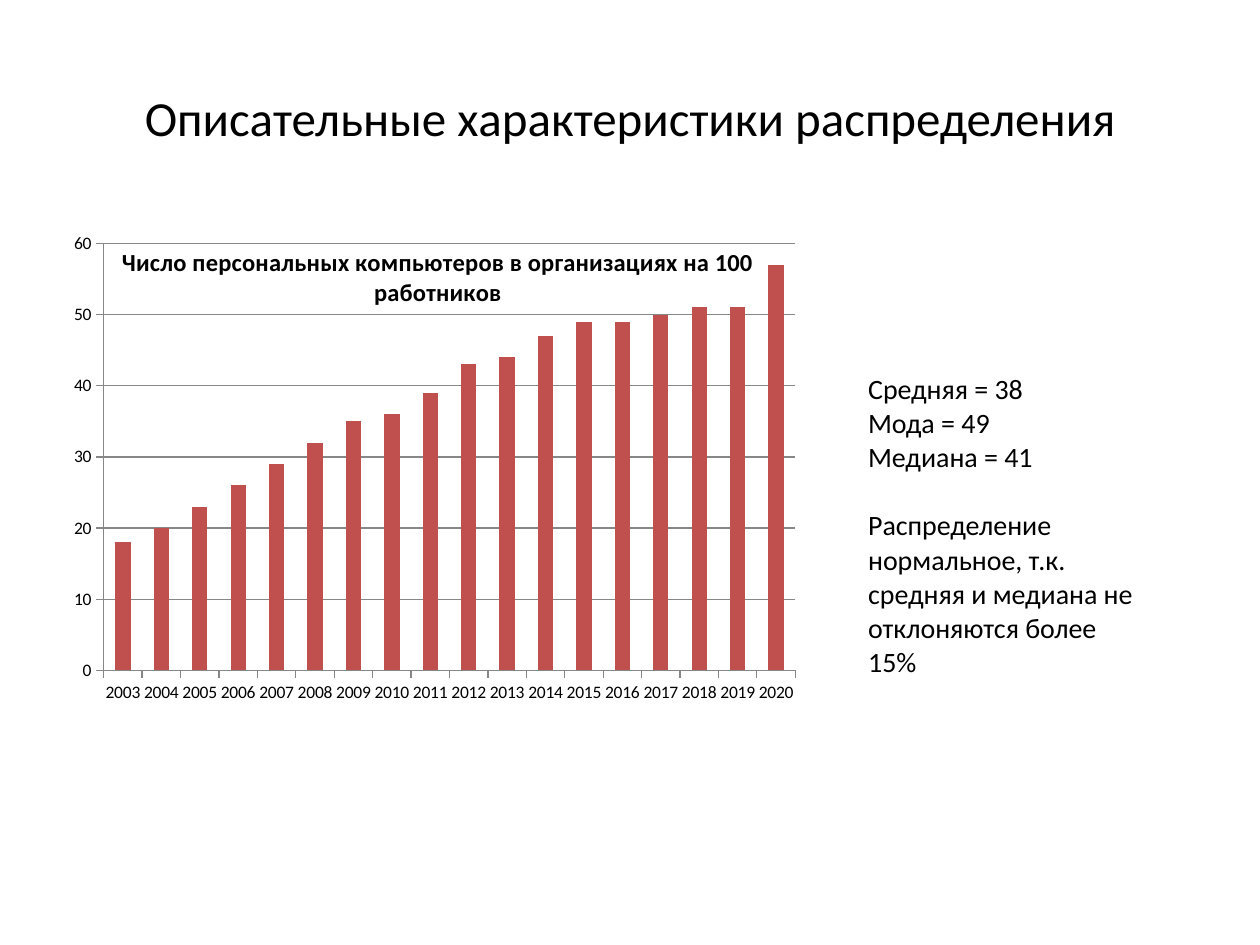
from lxml import etree
from pptx import Presentation
from pptx import util as u
from pptx.chart.data import CategoryChartData
from pptx.dml.color import RGBColor
from pptx.enum import chart as charts, text
from pptx.oxml import parse_xml
from pptx.oxml.ns import nsdecls, qn

# Content
TITLE = "Описательные характеристики распределения"
CHART_TITLE = "Число персональных компьютеров в организациях на 100 работников"
YEARS = [str(year) for year in range(2003, 2021)]
COMPUTERS = [18, 20, 23, 26, 29, 32, 35, 36, 39, 43, 44, 47, 49, 49, 50, 51, 51, 57]
# Each table row: its height and its paragraphs
STATISTICS = [
    (0.27, ["Средняя = 38"]),
    (0.27, ["Мода = 49"]),
    (1.86, ["Медиана = 41",
            "Распределение нормальное, т.к. средняя и медиана не отклоняются более 15%"]),
]
PLOT_AREA = {"x": 0.085, "y": 0.04, "w": 0.859, "h": 0.887}

FONT = "Calibri"
BLACK = RGBColor(0x00, 0x00, 0x00)
RED = RGBColor(0xC0, 0x50, 0x4D)
GRAY = RGBColor(0x87, 0x87, 0x87)


def style_font(font, size, bold=False):
    font.name, font.size, font.bold = FONT, u.Pt(size), bold
    font.color.rgb = BLACK


def write(frame, paragraphs, size, align=text.PP_ALIGN.LEFT, bold=False, gap=0):
    for index, words in enumerate(paragraphs):
        para = frame.add_paragraph() if index else frame.paragraphs[0]
        para.alignment = align
        if index:
            para.space_before = u.Pt(gap)
        span = para.add_run()
        span.text = words
        style_font(span.font, size, bold)


def place_plot(chart):
    """Pin the inner plot area to fractions of the chart."""
    plot_area = chart.plots[0]._element.getparent()
    for old in plot_area.findall(qn("c:layout")):
        plot_area.remove(old)
    layout = parse_xml(f"<c:layout {nsdecls('c')}><c:manualLayout/></c:layout>")
    settings = {"layoutTarget": "inner", "xMode": "edge", "yMode": "edge", **PLOT_AREA}
    for name, value in settings.items():
        etree.SubElement(layout[0], qn(f"c:{name}")).set("val", str(value))
    plot_area.insert(0, layout)


deck = Presentation()
deck.slide_width, deck.slide_height = u.Inches(10), u.Inches(7.5)
page = deck.slides.add_slide(deck.slide_layouts[6])

# Heading
box = page.shapes.add_textbox(u.Inches(0.5), u.Inches(0.3), u.Inches(9), u.Inches(1.25))
box.text_frame.word_wrap = True
box.text_frame.vertical_anchor = text.MSO_ANCHOR.MIDDLE
write(box.text_frame, [TITLE], 28, align=text.PP_ALIGN.CENTER)

# Column chart
data = CategoryChartData()
data.categories = YEARS
data.add_series("Series 1", COMPUTERS)
chart = page.shapes.add_chart(
    charts.XL_CHART_TYPE.COLUMN_CLUSTERED,
    u.Inches(0.28), u.Inches(1.78), u.Inches(6.39), u.Inches(3.82), data).chart
style_font(chart.font, 10)
chart.has_legend = False
chart.has_title = True
write(chart.chart_title.text_frame, [CHART_TITLE], 14,
      align=text.PP_ALIGN.CENTER, bold=True)
title_xml = chart.chart_title._element
for old in title_xml.findall(qn("c:overlay")):
    title_xml.remove(old)
overlay = parse_xml(f'<c:overlay {nsdecls("c")} val="1"/>')
title_xml.find(qn("c:layout")).addnext(overlay)
place_plot(chart)

plot = chart.plots[0]
plot.gap_width = 150
plot.vary_by_categories = False
columns = plot.series[0].format.fill
columns.solid()
columns.fore_color.rgb = RED

value_axis, year_axis = chart.value_axis, chart.category_axis
value_axis.minimum_scale, value_axis.maximum_scale, value_axis.major_unit = 0, 60, 10
value_axis.has_major_gridlines = True
for axis in (value_axis, year_axis):
    axis.major_tick_mark = charts.XL_TICK_MARK.OUTSIDE
for part in (value_axis, year_axis, value_axis.major_gridlines):
    part.format.line.color.rgb = GRAY
    part.format.line.width = u.Pt(0.75)

# Statistics table
height = sum(row_height for row_height, _ in STATISTICS)
table = page.shapes.add_table(len(STATISTICS), 1, u.Inches(6.89), u.Inches(2.96),
                              u.Inches(2.14), u.Inches(height)).table
table.first_row = table.horz_banding = False
# The built-in "No Style, No Grid" table style
table._tbl.tblPr.find(qn("a:tableStyleId")).text = "{2D5ABB26-0587-4C30-8999-92F81FD0307C}"
for row, (row_height, paragraphs) in zip(table.rows, STATISTICS):
    row.height = u.Inches(row_height)
    cell = row.cells[0]
    cell.fill.background()
    cell.vertical_anchor = text.MSO_ANCHOR.BOTTOM
    cell.margin_left = cell.margin_right = cell.margin_top = cell.margin_bottom = 0
    write(cell.text_frame, paragraphs, 16, gap=19.5)

deck.save("out.pptx")
